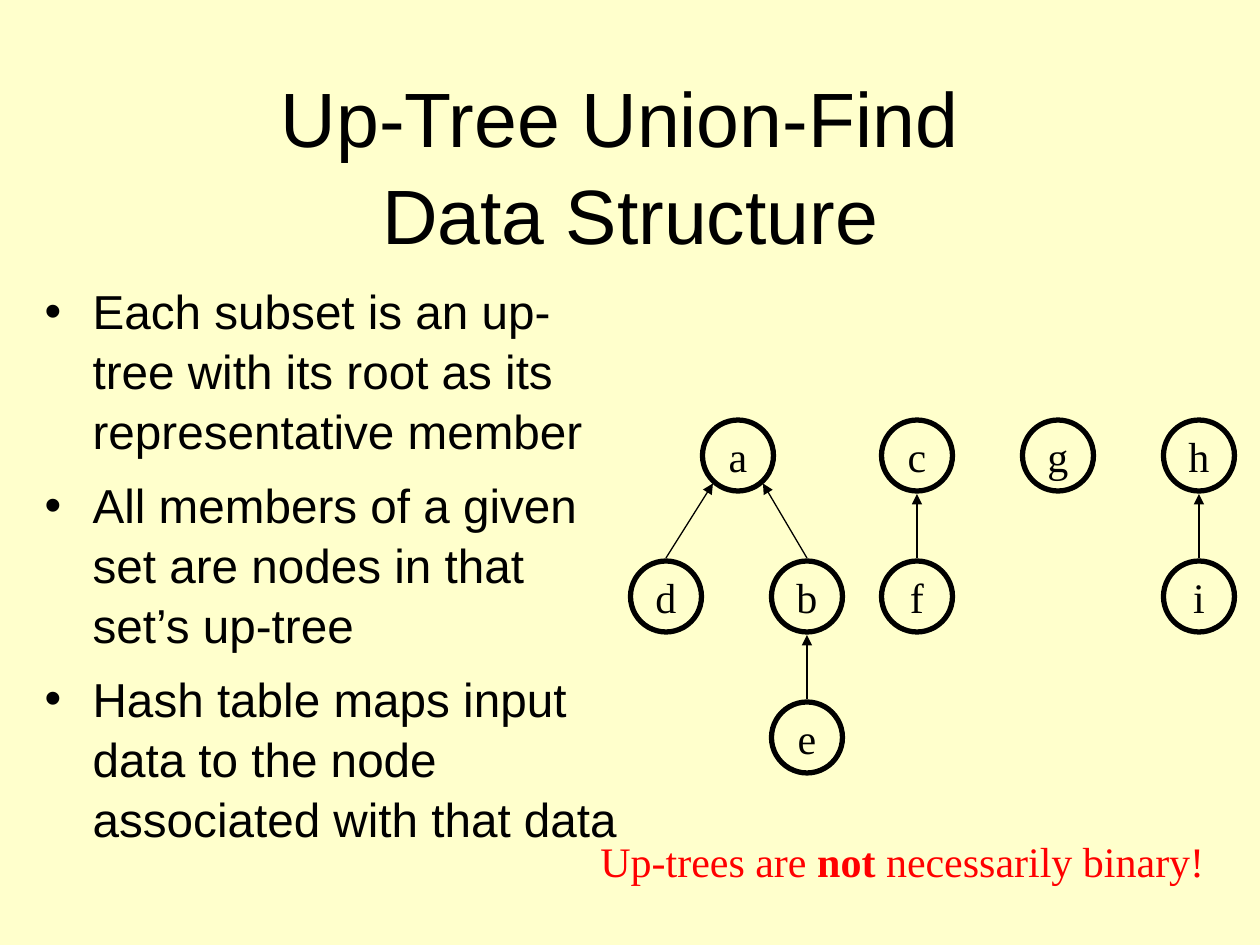
import pptx
import pptx.util
import pptx.dml.color
import pptx.enum.shapes
import pptx.enum.text
import pptx.oxml.ns
from lxml import etree

PX = 914400 // 126
NODE, PITCH, GAP = 71, 141, 3
BLACK, RED, CREAM = "000000", "FF0000", "FFFFCC"
SANS, SERIF = "Arial", "Times New Roman"

BULLETS = [
    "Each subset is an up-tree with its root as its representative member",
    "All members of a given set are nodes in that set’s up-tree",
    "Hash table maps input data to the node associated with that data",
]
# Node: (centre x in the forest box, row, parent)
NODES = {
    "a": (108, 0, None), "c": (287, 0, None),
    "g": (287 + PITCH, 0, None), "h": (287 + 2 * PITCH, 0, None),
    "d": (36, 1, "a"), "b": (36 + PITCH, 1, "a"),
    "f": (287, 1, "c"), "i": (287 + 2 * PITCH, 1, "h"),
    "e": (36 + PITCH, 2, "b"),
}


def px(length):
    return pptx.util.Emu(round(length * PX))


def color(hex_string):
    return pptx.dml.color.RGBColor.from_string(hex_string)


def add_child(parent, tag, **attributes):
    return etree.SubElement(parent, pptx.oxml.ns.qn(tag), attributes)


def style(paragraph, size, face, ink):
    paragraph.font.size = pptx.util.Pt(size)
    paragraph.font.name = face
    paragraph.font.color.rgb = color(ink)


def place(shape, box):
    shape.left, shape.top, shape.width, shape.height = map(px, box)


def fill_title(title, box):
    place(title, box)
    frame = title.text_frame
    frame.auto_size = pptx.enum.text.MSO_AUTO_SIZE.NONE
    frame.vertical_anchor = pptx.enum.text.MSO_ANCHOR.MIDDLE
    frame.text = "Up-Tree Union-Find \vData Structure"
    heading = frame.paragraphs[0]
    heading.alignment = pptx.enum.text.PP_ALIGN.CENTER
    heading.line_spacing = 1.05
    style(heading, 44, SANS, BLACK)


def fill_bullets(body, box):
    place(body, box)
    frame = body.text_frame
    frame.auto_size = pptx.enum.text.MSO_AUTO_SIZE.NONE
    frame.text = "\n".join(BULLETS)
    for index, point in enumerate(frame.paragraphs):
        point.line_spacing = 1.05
        point.space_before = pptx.util.Pt(8 if index else 0)
        properties = point._p.get_or_add_pPr()
        properties.set("marL", str(px(48)))
        properties.set("indent", str(-px(48)))
        add_child(properties, "a:buChar", char="•")
        style(point, 27.2, SANS, BLACK)


def add_node(slide, label, center_x, top):
    node = slide.shapes.add_shape(
        pptx.enum.shapes.MSO_SHAPE.OVAL,
        px(center_x - NODE / 2), px(top), px(NODE), px(NODE))
    node.shadow.inherit = False
    node.fill.background()
    node.line.color.rgb = color(BLACK)
    node.line.width = pptx.util.Pt(3)
    frame = node.text_frame
    frame.word_wrap = False
    frame.vertical_anchor = pptx.enum.text.MSO_ANCHOR.MIDDLE
    frame.text = label
    frame.paragraphs[0].alignment = pptx.enum.text.PP_ALIGN.CENTER
    style(frame.paragraphs[0], 24, SERIF, BLACK)


def add_arrow(slide, start, end):
    arrow = slide.shapes.add_connector(
        pptx.enum.shapes.MSO_CONNECTOR.STRAIGHT, *map(px, start + end))
    arrow.line.color.rgb = color(BLACK)
    arrow.line.width = pptx.util.Pt(0.75)
    add_child(arrow.line._get_or_add_ln(), "a:tailEnd", type="triangle")
    add_child(arrow._element.spPr, "a:effectLst")


def add_forest(slide, left, top):
    for label, (x, row, parent) in NODES.items():
        node_top = top + row * PITCH
        add_node(slide, label, left + x, node_top)
        if parent is None:
            continue
        # The arrow meets the parent's bottom, or its lower corner on a slant
        parent_x, parent_row, _ = NODES[parent]
        side = (x > parent_x) - (x < parent_x)
        reach = 25 if side else NODE / 2
        end = (left + parent_x + 25 * side,
               top + parent_row * PITCH + NODE / 2 + reach + GAP)
        add_arrow(slide, (left + x, node_top - GAP), end)


def add_remark(slide, box):
    remark = slide.shapes.add_textbox(*map(px, box))
    remark.text_frame.word_wrap = False
    sentence = remark.text_frame.paragraphs[0]
    for words, bold in [("Up-trees are ", False), ("not", True),
                        (" necessarily binary!", False)]:
        run = sentence.add_run()
        run.text = words
        run.font.bold = bold
    style(sentence, 24, SERIF, RED)


def main():
    deck = pptx.Presentation()
    deck.slide_width, deck.slide_height = px(1260), px(945)
    slide = deck.slides.add_slide(deck.slide_layouts[1])
    slide.background.fill.solid()
    slide.background.fill.fore_color.rgb = color(CREAM)

    fill_title(slide.shapes.title, (95, 84, 1071, 158))
    fill_bullets(slide.placeholders[1], (32, 273, 598, 567))
    add_forest(slide, 630, 420)
    add_remark(slide, (588, 829, 629, 63))
    deck.save("out.pptx")


if __name__ == "__main__":
    main()
